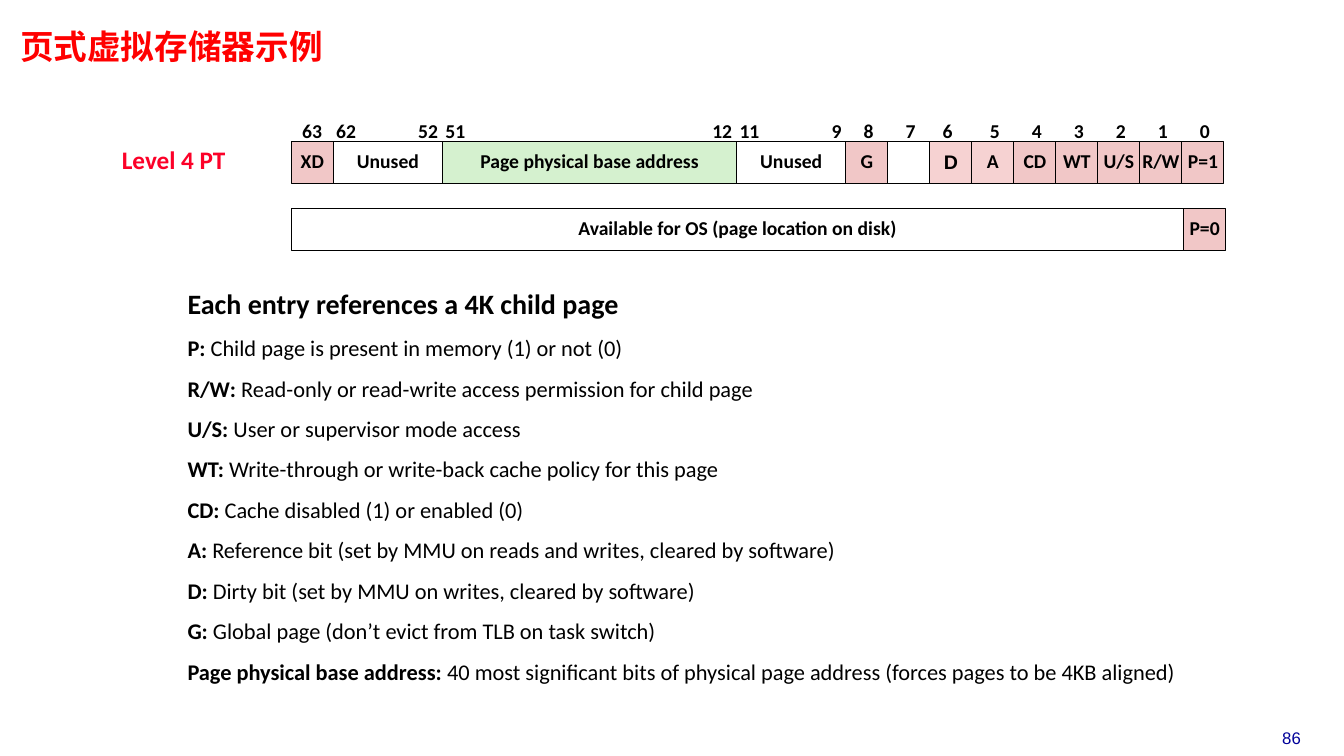
import pptx
import pptx.dml.color
import pptx.enum.shapes
import pptx.enum.text
import pptx.oxml.ns
import pptx.util
from dataclasses import dataclass

Inches = pptx.util.Inches
ALIGN = pptx.enum.text.PP_ALIGN
ANCHOR = pptx.enum.text.MSO_ANCHOR


@dataclass(frozen=True)
class Theme:
    text: str = "000000"
    title: str = "FF0000"
    level: str = "FC0128"
    page: str = "000099"
    blank: str = "FFFFFF"
    flag: str = "F1C7C7"
    state: str = "F6D2D2"
    address: str = "D5F1CF"
    font: str = "Calibri"
    page_font: str = "Arial"
    title_font: str = "Noto Sans Mono"
    title_size: int = 24
    heading_size: int = 20
    level_size: int = 18
    list_size: int = 16
    cell_size: int = 14
    page_size: int = 12
    spacing: float = 0.88


THEME = Theme()

# Entry layout: (highest bit, lowest bit, label, fill, width in single-bit cells)
FIELDS = [
    (63, 63, "XD", THEME.flag, 1),
    (62, 52, "Unused", THEME.blank, 2.6),
    (51, 12, "Page physical base address", THEME.address, 7),
    (11, 9, "Unused", THEME.blank, 2.6),
    (8, 8, "G", THEME.flag, 1),
    (7, 7, "", THEME.blank, 1),
    (6, 6, "D", THEME.state, 1),
    (5, 5, "A", THEME.state, 1),
    (4, 4, "CD", THEME.flag, 1),
    (3, 3, "WT", THEME.flag, 1),
    (2, 2, "U/S", THEME.flag, 1),
    (1, 1, "R/W", THEME.flag, 1),
    (0, 0, "P=1", THEME.flag, 1),
]
BIT_SHIFT = {63: 0, 6: -0.03}
ENTRY_LEFT, ENTRY_TOP, ABSENT_TOP = 2.89, 1.4, 2.07
CELL = 5 / 12
BITS_TOP = 1.16

HEADING = "Each entry references a 4K child page"
MEANINGS = [
    ("P", "Child page is present in memory (1) or not (0)"),
    ("R/W", "Read-only or read-write access permission for child page"),
    ("U/S", "User or supervisor mode access"),
    ("WT", "Write-through or write-back cache policy for this page"),
    ("CD", "Cache disabled (1) or enabled (0)"),
    ("A", "Reference bit (set by MMU on reads and writes, cleared by software)"),
    ("D", "Dirty bit (set by MMU on writes, cleared by software)"),
    ("G", "Global page (don’t evict from TLB on task switch)"),
    ("Page physical base address",
     "40 most significant bits of physical page address (forces pages to be 4KB aligned)"),
]


def apply(target, values):
    for name, value in values.items():
        setattr(target, name, value)


class EntrySlide:
    def __init__(self, deck, theme):
        self.theme = theme
        self.slide = deck.slides.add_slide(deck.slide_layouts[1])

    def place(self, shape, left, top, width, height):
        apply(shape, {"left": Inches(left), "top": Inches(top),
                      "width": Inches(width), "height": Inches(height)})

    def frame(self, shape, wrap, anchor=ANCHOR.TOP, side=0.1, edge=0.05):
        apply(shape.text_frame, {
            "word_wrap": wrap, "vertical_anchor": anchor,
            "auto_size": pptx.enum.text.MSO_AUTO_SIZE.NONE,
            "margin_left": Inches(side), "margin_right": Inches(side),
            "margin_top": Inches(edge), "margin_bottom": Inches(edge)})
        return shape.text_frame

    def run(self, paragraph, text, size, color=None, font=None, bold=True):
        run = paragraph.add_run()
        run.text = text
        apply(run.font, {"size": pptx.util.Pt(size), "bold": bold,
                         "name": font or self.theme.font})
        run.font.color.rgb = pptx.dml.color.RGBColor.from_string(color or self.theme.text)
        return run

    def title(self, text, box):
        title = self.slide.shapes.title
        self.place(title, *box)
        paragraph = self.frame(title, True, side=0.07, edge=0.03).paragraphs[0]
        apply(paragraph, {"alignment": ALIGN.LEFT, "line_spacing": 0.87})
        run = self.run(paragraph, text, self.theme.title_size,
                       self.theme.title, self.theme.title_font)
        east_asian = run.font._element.makeelement(
            pptx.oxml.ns.qn("a:ea"), {"typeface": self.theme.title_font})
        run.font._element.find(pptx.oxml.ns.qn("a:latin")).addnext(east_asian)

    def meanings(self, heading, items, box):
        body = self.slide.placeholders[1]
        self.place(body, *box)
        frame = self.frame(body, True)
        for index, (term, meaning) in enumerate([(heading, "")] + items):
            paragraph = frame.add_paragraph() if index else frame.paragraphs[0]
            properties = paragraph._p.get_or_add_pPr()
            properties.set("marL", "0")
            properties.set("indent", "0")
            properties.append(properties.makeelement(pptx.oxml.ns.qn("a:buNone"), {}))
            apply(paragraph, {"line_spacing": self.theme.spacing,
                              "space_before": pptx.util.Pt(12 if index else 0)})
            if meaning:
                self.run(paragraph, f"{term}: ", self.theme.list_size)
                self.run(paragraph, meaning, self.theme.list_size, bold=False)
            else:
                self.run(paragraph, term, self.theme.heading_size)

    def cell(self, text, fill, left, top, width, font=None):
        cell = self.slide.shapes.add_shape(
            pptx.enum.shapes.MSO_SHAPE.RECTANGLE, Inches(left), Inches(top),
            Inches(width), Inches(CELL))
        cell.shadow.inherit = False
        cell.fill.solid()
        cell.fill.fore_color.rgb = pptx.dml.color.RGBColor.from_string(fill)
        cell.line.color.rgb = pptx.dml.color.RGBColor.from_string(self.theme.text)
        cell.line.width = pptx.util.Pt(0.75)
        paragraph = self.frame(cell, False, ANCHOR.MIDDLE).paragraphs[0]
        apply(paragraph, {"alignment": ALIGN.CENTER,
                          "line_spacing": 1.0 if font else self.theme.spacing})
        if text:
            self.run(paragraph, text, self.theme.cell_size, font=font)

    def label(self, text, box, size, color=None, font=None, bold=True,
              align=ALIGN.LEFT, spacing=THEME.spacing):
        label = self.slide.shapes.add_textbox(*map(Inches, box))
        paragraph = self.frame(label, False).paragraphs[0]
        apply(paragraph, {"alignment": align, "line_spacing": spacing})
        self.run(paragraph, text, size, color, font, bold)

    def bit(self, number, left, width):
        self.label(str(number), (left, BITS_TOP, width, 0.31), self.theme.cell_size)

    def entry(self, fields):
        left = ENTRY_LEFT
        for high, low, text, fill, units in fields:
            width = units * CELL
            self.cell(text, fill, left, ENTRY_TOP, width,
                      self.theme.page_font if text == "D" else None)
            high_width, low_width = (0.4 if bit > 9 else 0.3 for bit in (high, low))
            if high == low:
                shift = BIT_SHIFT.get(high, 0.02)
                self.bit(high, left + (width - high_width) / 2 + shift, high_width)
            else:
                self.bit(high, left - 0.07, high_width)
                self.bit(low, left + width + 0.06 - low_width, low_width)
            left += width


def main():
    deck = pptx.Presentation()
    apply(deck, {"slide_width": Inches(13.33), "slide_height": Inches(7.5)})
    page = EntrySlide(deck, THEME)

    # Title and field meanings
    page.title("页式虚拟存储器示例", (0.13, 0.28, 5.75, 0.41))
    page.meanings(HEADING, MEANINGS, (1.76, 2.84, 10.58, 4.04))

    # Entry for a page in memory
    page.label("Level 4 PT", (1.11, 1.43, 1.3, 0.36), THEME.level_size,
               THEME.level, spacing=0.85)
    page.entry(FIELDS)

    # Entry for a page on disk
    disk_width = 8.85
    page.cell("Available for OS (page location on disk)", THEME.blank,
              ENTRY_LEFT, ABSENT_TOP, disk_width)
    page.cell("P=0", THEME.flag, ENTRY_LEFT + disk_width, ABSENT_TOP, CELL)

    # Page number
    page.label("86", (12.34, 7.17, 0.94, 0.3), THEME.page_size, THEME.page,
               THEME.page_font, bold=False, align=ALIGN.CENTER, spacing=1.0)
    deck.save("out.pptx")


if __name__ == "__main__":
    main()
